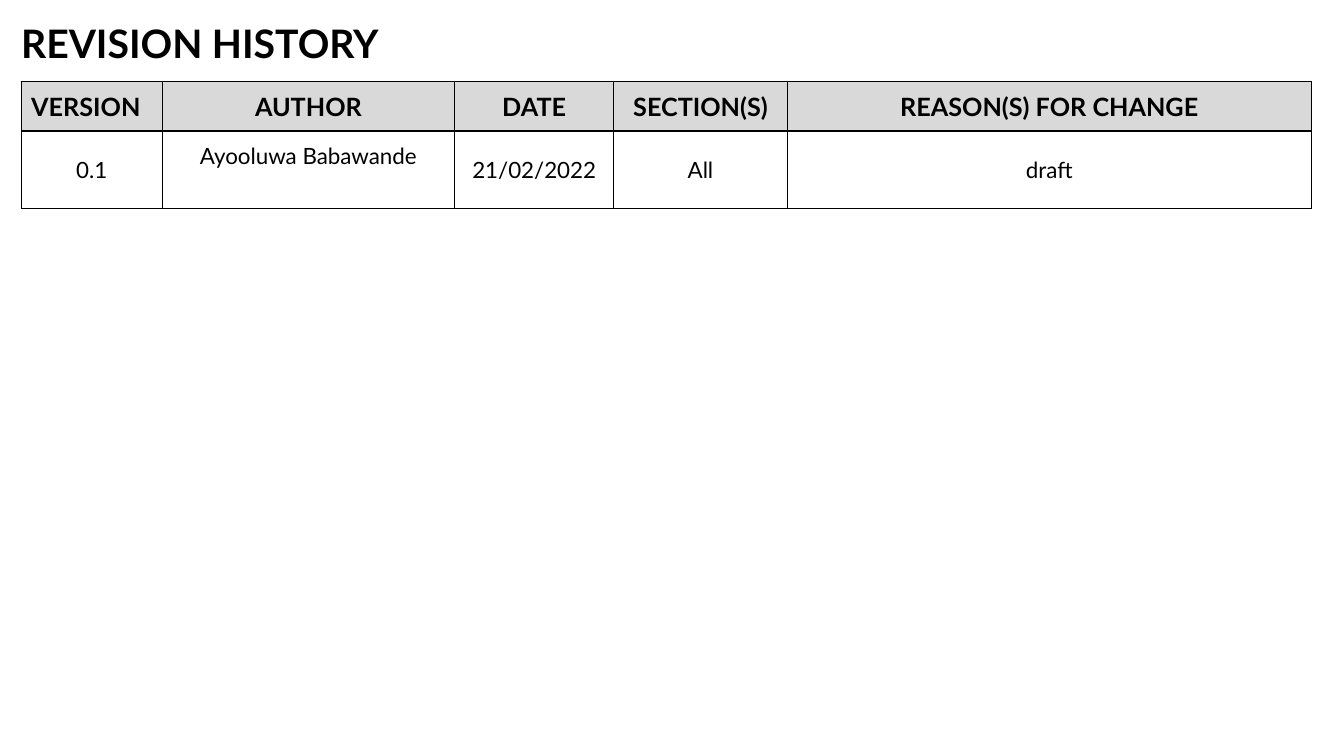
from dataclasses import dataclass

from lxml.etree import SubElement
from pptx import Presentation
from pptx.dml.color import RGBColor
from pptx.enum.text import MSO_ANCHOR as Anchor, PP_ALIGN as Align
from pptx.oxml.ns import qn
from pptx.util import Pt


@dataclass(frozen=True)
class Theme:
    font: str = "Lato"
    ink: str = "000000"
    header_fill: str = "D9D9D9"
    title_size: int = 28
    header_size: int = 18
    body_size: int = 16
    border_width: int = 1


THEME = Theme()
LEFT = 15.12
COLUMN_WIDTHS = [100.8, 208.8, 113.76, 123.84, 374.4]
ROW_HEIGHTS = [35.28, 55.44]
REVISIONS = [
    ["VERSION", "AUTHOR", "DATE", "SECTION(S)", "REASON(S) FOR CHANGE"],
    ["0.1", "Ayooluwa Babawande", "21/02/2022", "All", "draft"],
]
AUTHOR_LIFT = 23.6


def set_attributes(target, values):
    for name, value in values.items():
        setattr(target, name, value)


def write_text(paragraph, text, size, bold, align):
    paragraph.alignment = align
    run = paragraph.add_run()
    run.text = text
    set_attributes(run.font, {"name": THEME.font, "size": Pt(size), "bold": bold})
    run.font.color.rgb = RGBColor.from_string(THEME.ink)


def add_title(slide, text):
    title = slide.shapes.add_textbox(Pt(LEFT), Pt(10.8), Pt(873.36), Pt(42)).text_frame
    set_attributes(title, {
        "word_wrap": True, "margin_left": 0, "margin_right": 0,
        "margin_top": 0, "margin_bottom": 0,
    })
    heading = title.paragraphs[0]
    heading.line_spacing = 1.1
    write_text(heading, text, THEME.title_size, True, Align.LEFT)


def add_borders(cell):
    """Draw all four edges; they must come before the cell's fill."""
    properties = cell._tc.get_or_add_tcPr()
    for edge in ("a:lnL", "a:lnR", "a:lnT", "a:lnB"):
        border = SubElement(properties, qn(edge), w=str(Pt(THEME.border_width)))
        fill = SubElement(border, qn("a:solidFill"))
        SubElement(fill, qn("a:srgbClr"), val=THEME.ink)


def fill_cell(cell, text, is_header, align):
    add_borders(cell)
    if is_header:
        cell.fill.solid()
        cell.fill.fore_color.rgb = RGBColor.from_string(THEME.header_fill)
    else:
        cell.fill.background()
    cell.vertical_anchor = Anchor.MIDDLE
    size = THEME.header_size if is_header else THEME.body_size
    write_text(cell.text_frame.paragraphs[0], text, size, is_header, align)


def add_revision_table(slide):
    table = slide.shapes.add_table(
        len(REVISIONS), len(COLUMN_WIDTHS), Pt(LEFT), Pt(58.32),
        Pt(sum(COLUMN_WIDTHS)), Pt(sum(ROW_HEIGHTS)),
    ).table
    set_attributes(table, {"first_row": False, "horz_banding": False})
    for column, width in zip(table.columns, COLUMN_WIDTHS):
        column.width = Pt(width)
    for row, height in zip(table.rows, ROW_HEIGHTS):
        row.height = Pt(height)
    for r, revision in enumerate(REVISIONS):
        for c, text in enumerate(revision):
            align = Align.LEFT if r == c == 0 else Align.CENTER
            fill_cell(table.cell(r, c), text, r == 0, align)
    table.cell(1, 1).margin_bottom = Pt(AUTHOR_LIFT)


def main():
    deck = Presentation()
    set_attributes(deck, {"slide_width": Pt(960), "slide_height": Pt(540)})
    slide = deck.slides.add_slide(deck.slide_layouts[6])
    add_title(slide, "REVISION HISTORY")
    add_revision_table(slide)
    deck.save("out.pptx")


if __name__ == "__main__":
    main()
